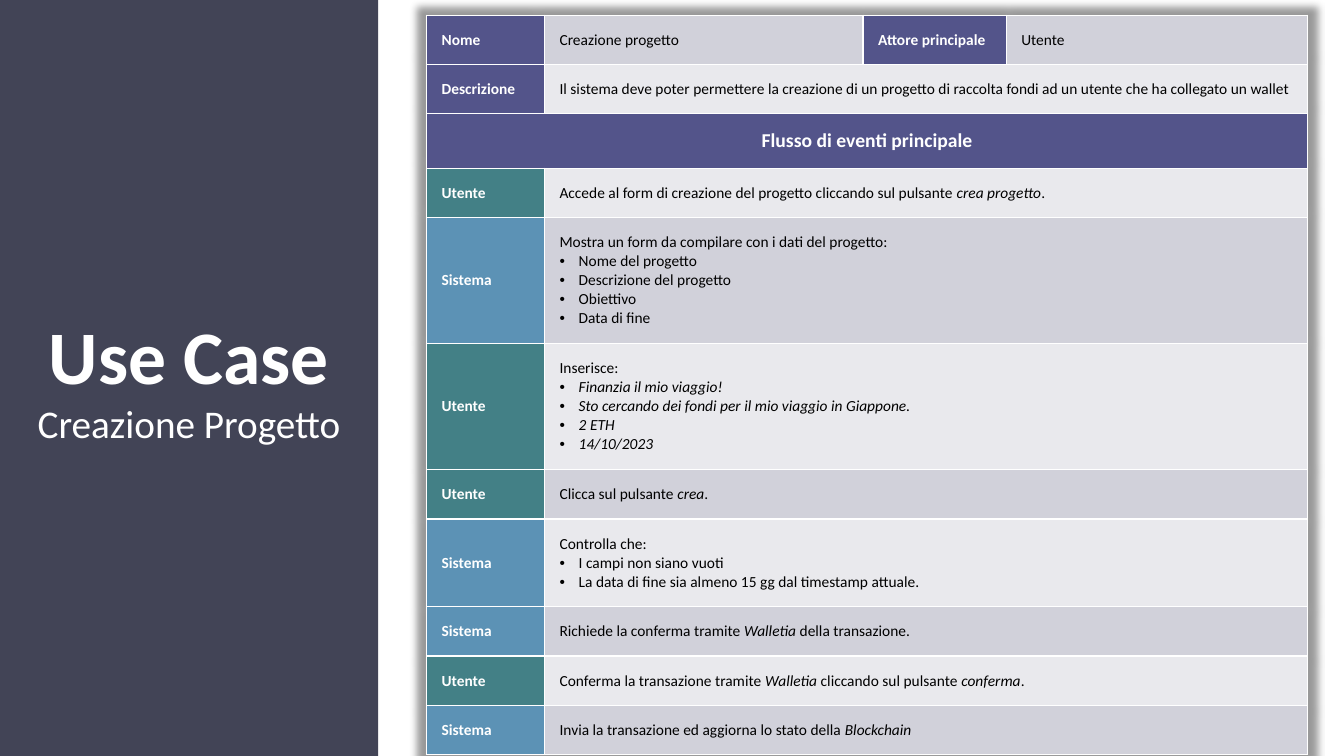
from lxml.etree import SubElement
from pptx import Presentation
from pptx.dml.color import RGBColor
from pptx.enum.shapes import MSO_SHAPE as Shape
from pptx.enum.text import MSO_ANCHOR as Anchor, PP_ALIGN as Align
from pptx.oxml import parse_xml
from pptx.oxml.ns import qn
from pptx.util import Inches, Pt

DRAWING = 'xmlns:a="http://schemas.openxmlformats.org/drawingml/2006/main"'
WHITE, BLACK, SLATE = "FFFFFF", "000000", "424456"
INDIGO, DARK_BAND, LIGHT_BAND = "53548A", "D1D1DA", "E9E9ED"
ACTOR_COLOURS = {"Utente": "438086", "Sistema": "5C92B5"}
COLUMN_WIDTHS = [1.17, 3.16, 1.42, 2.99]
CELL_MARGIN, LINE_HEIGHT, HEADING_HEIGHT = 0.15, 0.19, 0.54

# Each step: actor, then lines; "•" starts a bullet and *asterisks* mark italics.
STEPS = [
    ("Utente", ["Accede al form di creazione del progetto cliccando sul pulsante *crea progetto*."]),
    ("Sistema", ["Mostra un form da compilare con i dati del progetto:",
                 "•Nome del progetto", "•Descrizione del progetto",
                 "•Obiettivo", "•Data di fine"]),
    ("Utente", ["Inserisce:", "•*Finanzia il mio viaggio!*",
                "•*Sto cercando dei fondi per il mio viaggio in Giappone.*",
                "•*2 ETH*", "•*14/10/2023*"]),
    ("Utente", ["Clicca sul pulsante *crea*."]),
    ("Sistema", ["Controlla che:", "•I campi non siano vuoti",
                 "•La data di fine sia almeno 15 gg dal timestamp attuale."]),
    ("Sistema", ["Richiede la conferma tramite *Walletia* della transazione."]),
    ("Utente", ["Conferma la transazione tramite *Walletia* cliccando sul pulsante *conferma*."]),
    ("Sistema", ["Invia la transazione ed aggiorna lo stato della *Blockchain*"]),
]


def colour(value):
    return RGBColor.from_string(value)


def write(para, text, size=11, ink=BLACK, bold=False, align=Align.LEFT):
    """Fill a paragraph, reading a leading • as a bullet and *...* as italics."""
    para.alignment = align
    if text.startswith("•"):
        text = text[1:]
        properties = para._p.get_or_add_pPr()
        properties.set("marL", str(Inches(0.19)))
        properties.set("indent", str(-Inches(0.19)))
        SubElement(properties, qn("a:buFont"), typeface="Arial")
        SubElement(properties, qn("a:buChar"), char="•")
    for index, part in enumerate(text.split("*")):
        if part:
            span = para.add_run()
            span.text = part
            span.font.name = "Calibri"
            span.font.size = Pt(size)
            span.font.bold = bold
            span.font.italic = index % 2 == 1
            span.font.color.rgb = colour(ink)


class UseCasePage:
    def __init__(self, deck):
        self.page = deck.slides.add_slide(deck.slide_layouts[6])

    def sidebar(self, title, subtitle):
        panel = self.page.shapes.add_shape(Shape.RECTANGLE, 0, 0, Inches(3.75), Inches(7.5))
        panel.shadow.inherit = False
        panel.fill.solid()
        panel.fill.fore_color.rgb = colour(SLATE)
        panel.line.fill.background()
        box = panel.text_frame
        box.word_wrap = True
        box.vertical_anchor = Anchor.MIDDLE
        write(box.paragraphs[0], title, size=54, ink=WHITE, bold=True, align=Align.CENTER)
        write(box.add_paragraph(), subtitle, size=28, ink=WHITE, align=Align.CENTER)

    def table(self, left, top, heights):
        """Add an unstyled table with white borders and a soft shadow all round."""
        frame = self.page.shapes.add_table(
            len(heights), len(COLUMN_WIDTHS), Inches(left), Inches(top),
            Inches(sum(COLUMN_WIDTHS)), Inches(sum(heights)))
        grid = frame.table
        grid.first_row = grid.horz_banding = False
        for column, width in zip(grid.columns, COLUMN_WIDTHS):
            column.width = Inches(width)
        for row, height in zip(grid.rows, heights):
            row.height = Inches(height)
        grid._tbl.tblPr.insert(0, parse_xml(
            f'<a:effectLst {DRAWING}><a:outerShdw blurRad="63500" sx="102000" sy="102000" '
            'algn="ctr" rotWithShape="0"><a:srgbClr val="000000"><a:alpha val="40000"/>'
            '</a:srgbClr></a:outerShdw></a:effectLst>'))
        for cell in grid.iter_cells():
            for side in "LRTB":
                cell._tc.get_or_add_tcPr().append(parse_xml(
                    f'<a:ln{side} {DRAWING} w="{Pt(1)}"><a:solidFill>'
                    f'<a:srgbClr val="{WHITE}"/></a:solidFill></a:ln{side}>'))
        self.grid = grid

    def cell(self, row, column, lines, fill, last=None, **style):
        """Fill a cell, merged through column `last` when that is given."""
        cell = self.grid.cell(row, column)
        if last is not None:
            cell.merge(self.grid.cell(row, last))
        cell.fill.solid()
        cell.fill.fore_color.rgb = colour(fill)
        cell.vertical_anchor = Anchor.MIDDLE
        cell.margin_left = cell.margin_right = Inches(CELL_MARGIN)
        cell.margin_top = cell.margin_bottom = Inches(CELL_MARGIN)
        box = cell.text_frame
        for index, line in enumerate(lines):
            write(box.add_paragraph() if index else box.paragraphs[0], line, **style)

    def label(self, row, column, text, fill=INDIGO, **style):
        self.cell(row, column, [text], fill, ink=WHITE, bold=True, **style)


def row_height(lines):
    return 2 * CELL_MARGIN + LINE_HEIGHT * lines


def main():
    deck = Presentation()
    deck.slide_width, deck.slide_height = Inches(13.33), Inches(7.5)
    page = UseCasePage(deck)
    page.sidebar("Use Case", "Creazione Progetto")

    heights = [row_height(1), row_height(1), HEADING_HEIGHT]
    heights += [row_height(len(lines)) for _, lines in STEPS]
    page.table(4.23, 0.15, heights)

    page.label(0, 0, "Nome")
    page.cell(0, 1, ["Creazione progetto"], DARK_BAND)
    page.label(0, 2, "Attore principale")
    page.cell(0, 3, ["Utente"], DARK_BAND)
    page.label(1, 0, "Descrizione")
    page.cell(1, 1, ["Il sistema deve poter permettere la creazione di un progetto di "
                     "raccolta fondi ad un utente che ha collegato un wallet"],
              LIGHT_BAND, last=3)
    page.label(2, 0, "Flusso di eventi principale", last=3, size=14, align=Align.CENTER)
    for row, (actor, lines) in enumerate(STEPS, start=3):
        page.label(row, 0, actor, ACTOR_COLOURS[actor])
        page.cell(row, 1, lines, LIGHT_BAND if row % 2 else DARK_BAND, last=3)

    deck.save("out.pptx")


if __name__ == "__main__":
    main()
